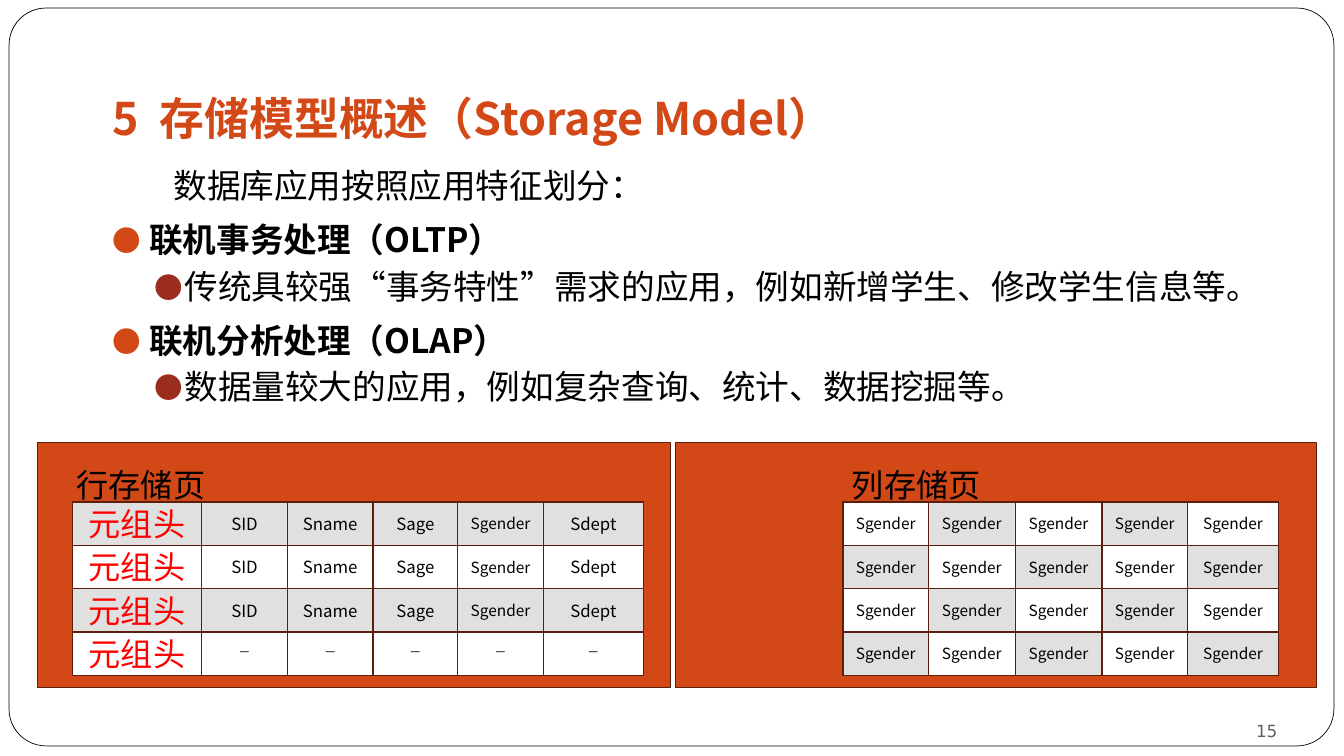
import dataclasses
import itertools

import pptx
import pptx.dml.color
import pptx.enum.shapes
import pptx.enum.text
import pptx.oxml
import pptx.oxml.ns
import pptx.util

Inches = pptx.util.Inches
Pt = pptx.util.Pt
Align = pptx.enum.text.PP_ALIGN
Anchor = pptx.enum.text.MSO_ANCHOR
Preset = pptx.enum.shapes.MSO_SHAPE


@dataclasses.dataclass(frozen=True)
class Theme:
    font: str = "Noto Sans CJK SC"
    number_font: str = "DejaVu Sans"
    dash_font: str = "Times New Roman"
    accent: str = "D34817"
    accent_dark: str = "9B2D1F"
    border: str = "5C200A"
    shade: str = "E1E0E0"
    white: str = "FFFFFF"
    black: str = "000000"
    red: str = "FF0000"
    grey: str = "646060"
    title_size: int = 32
    body_size: int = 24
    label_size: int = 23
    cell_size: int = 12
    small_size: int = 11


class StorageSlide:
    def __init__(self, deck, theme):
        self.theme = theme
        self.page = deck.slides.add_slide(deck.slide_layouts[1])

    def style(self, para, size, color=None, bold=False, font=None):
        """Format every run of a paragraph, for Latin and Chinese text alike."""
        for span in para.runs:
            span.font.size = Pt(size)
            span.font.bold = bold
            span.font.name = font or self.theme.font
            span.font.color.rgb = pptx.dml.color.RGBColor.from_string(color or self.theme.black)
            east_asian = pptx.oxml.parse_xml(
                f'<a:ea {pptx.oxml.ns.nsdecls("a")} typeface="{font or self.theme.font}"/>')
            span.font._element.find(pptx.oxml.ns.qn("a:latin")).addnext(east_asian)

    def place(self, shape, left, top, width, height):
        shape.left, shape.top = Inches(left), Inches(top)
        shape.width, shape.height = Inches(width), Inches(height)

    def inset(self, frame, left, top, right, bottom):
        frame.margin_left, frame.margin_top = Inches(left), Inches(top)
        frame.margin_right, frame.margin_bottom = Inches(right), Inches(bottom)

    def box(self, parent, kind, bounds, fill, line, weight=1):
        box = parent.add_shape(kind, *map(Inches, bounds))
        box.shadow.inherit = False
        box.fill.solid()
        box.fill.fore_color.rgb = pptx.dml.color.RGBColor.from_string(fill)
        box.line.color.rgb = pptx.dml.color.RGBColor.from_string(line)
        box.line.width = Pt(weight)
        return box

    def frame(self):
        """Rounded page border, set behind the placeholders."""
        border = self.box(self.page.shapes, Preset.ROUNDED_RECTANGLE, (0.09, 0.08, 13.14, 7.32),
                          self.theme.white, self.theme.black, 0.5)
        border.adjustments[0] = 0.05
        self.page.shapes.title.element.addprevious(border.element)

    def title(self, text):
        title = self.page.shapes.title
        self.place(title, 1, 0.62, 11.33, 0.93)
        frame = title.text_frame
        frame.text = text
        frame.auto_size = pptx.enum.text.MSO_AUTO_SIZE.NONE
        frame.vertical_anchor = Anchor.BOTTOM
        self.inset(frame, 0.12, 0.06, 0.12, 0.12)
        frame.paragraphs[0].alignment = Align.LEFT
        self.style(frame.paragraphs[0], self.theme.title_size, self.theme.accent, bold=True)

    def indent(self, para, margin, first, bullet_color=None):
        props = para._p.get_or_add_pPr()
        props.set("marL", str(Inches(margin)))
        props.set("indent", str(Inches(first)))
        space = pptx.oxml.ns.nsdecls("a")
        if bullet_color is None:
            props.append(pptx.oxml.parse_xml(f"<a:buNone {space}/>"))
            return
        for markup in (f'<a:buClr {space}><a:srgbClr val="{bullet_color}"/></a:buClr>',
                       f'<a:buSzPct {space} val="85000"/>',
                       f'<a:buFont {space} typeface="{self.theme.font}"/>',
                       f'<a:buChar {space} char="●"/>'):
            props.append(pptx.oxml.parse_xml(markup))

    def body(self, intro, topics):
        holder = self.page.placeholders[1]
        self.place(holder, 1, 1.58, 11.33, 5.24)
        frame = holder.text_frame
        frame.auto_size = pptx.enum.text.MSO_AUTO_SIZE.NONE
        self.inset(frame, 0.12, 0.06, 0.12, 0.06)
        frame.text = "\n".join([intro, *itertools.chain.from_iterable(topics)])
        for index, para in enumerate(frame.paragraphs):
            heading = index % 2 == 1
            detail = index > 0 and not heading
            para.level = 1 if detail else 0
            para.line_spacing = 1.1 if heading else 1.0
            para.space_before = Pt(4.4 if detail else 6.9)
            if heading:
                self.indent(para, 0.36, -0.36, self.theme.accent)
            elif detail:
                self.indent(para, 0.71, -0.3, self.theme.accent_dark)
            else:
                self.indent(para, 0, 0.6)
            self.style(para, self.theme.body_size, bold=heading)

    def text(self, parent, bounds, text, size):
        box = parent.add_textbox(*map(Inches, bounds))
        box.text_frame.word_wrap = True
        box.text_frame.text = text
        self.style(box.text_frame.paragraphs[0], size)
        return box

    def page_number(self, number):
        box = self.text(self.page.shapes, (11.56, 6.95, 1.11, 0.4), number, self.theme.cell_size)
        self.inset(box.text_frame, 0, 0, 0, 0)
        box.text_frame.vertical_anchor = Anchor.BOTTOM
        para = box.text_frame.paragraphs[0]
        para.alignment = Align.RIGHT
        self.style(para, self.theme.cell_size, self.theme.grey, font=self.theme.number_font)

    def cell(self, parent, bounds, text, fill):
        theme = self.theme
        frame = self.box(parent, Preset.RECTANGLE, bounds, fill, theme.border).text_frame
        frame.word_wrap = True
        frame.vertical_anchor = Anchor.MIDDLE
        frame.text = text
        para = frame.paragraphs[0]
        para.alignment = Align.CENTER
        if text == "元组头":
            self.style(para, theme.label_size, theme.red)
        elif text == "_":
            self.inset(frame, 0.1, 0, 0.1, 0.19)
            self.style(para, theme.cell_size, font=theme.dash_font)
        else:
            self.style(para, theme.small_size if text == "Sgender" else theme.cell_size)

    def storage_page(self, panel, label, label_bounds, edges, rows, shaded):
        """Panel with a label and a grid of cells; shaded(row, column) picks grey cells."""
        group = self.page.shapes.add_group_shape().shapes
        self.box(group, Preset.RECTANGLE, panel, self.theme.accent, self.theme.border)
        row_height = 0.43
        for row, texts in enumerate(rows):
            top = 4.98 + row * row_height
            for column, text in enumerate(texts):
                left, right = edges[column:column + 2]
                fill = self.theme.shade if shaded(row, column) else self.theme.white
                self.cell(group, (left, top, right - left, row_height), text, fill)
        self.text(group, label_bounds, label, self.theme.label_size)


def main():
    deck = pptx.Presentation()
    deck.slide_width, deck.slide_height = Inches(13.33), Inches(7.5)
    slide = StorageSlide(deck, Theme())
    slide.frame()
    slide.title("5  存储模型概述（Storage Model）")
    slide.body("数据库应用按照应用特征划分：", [
        ("联机事务处理（OLTP）", "传统具较强“事务特性”需求的应用，例如新增学生、修改学生信息等。"),
        ("联机分析处理（OLAP）", "数据量较大的应用，例如复杂查询、统计、数据挖掘等。"),
    ])
    slide.page_number("15")

    student = ["元组头", "SID", "Sname", "Sage", "Sgender", "Sdept"]
    slide.storage_page((0.37, 4.39, 6.28, 2.43), "行存储页", (0.66, 4.57, 1.88, 0.49),
                       [0.72, 2, 2.85, 3.7, 4.54, 5.39, 6.38],
                       [student] * 3 + [["元组头"] + ["_"] * 5],
                       lambda row, column: row % 2 == 0)
    slide.storage_page((6.7, 4.39, 6.36, 2.43), "列存储页", (8.35, 4.57, 1.91, 0.5),
                       [8.36, 9.21, 10.07, 10.93, 11.78, 12.68],
                       [["Sgender"] * 5] * 4,
                       lambda row, column: (row + column) % 2 == 1)
    deck.save("out.pptx")


if __name__ == "__main__":
    main()
